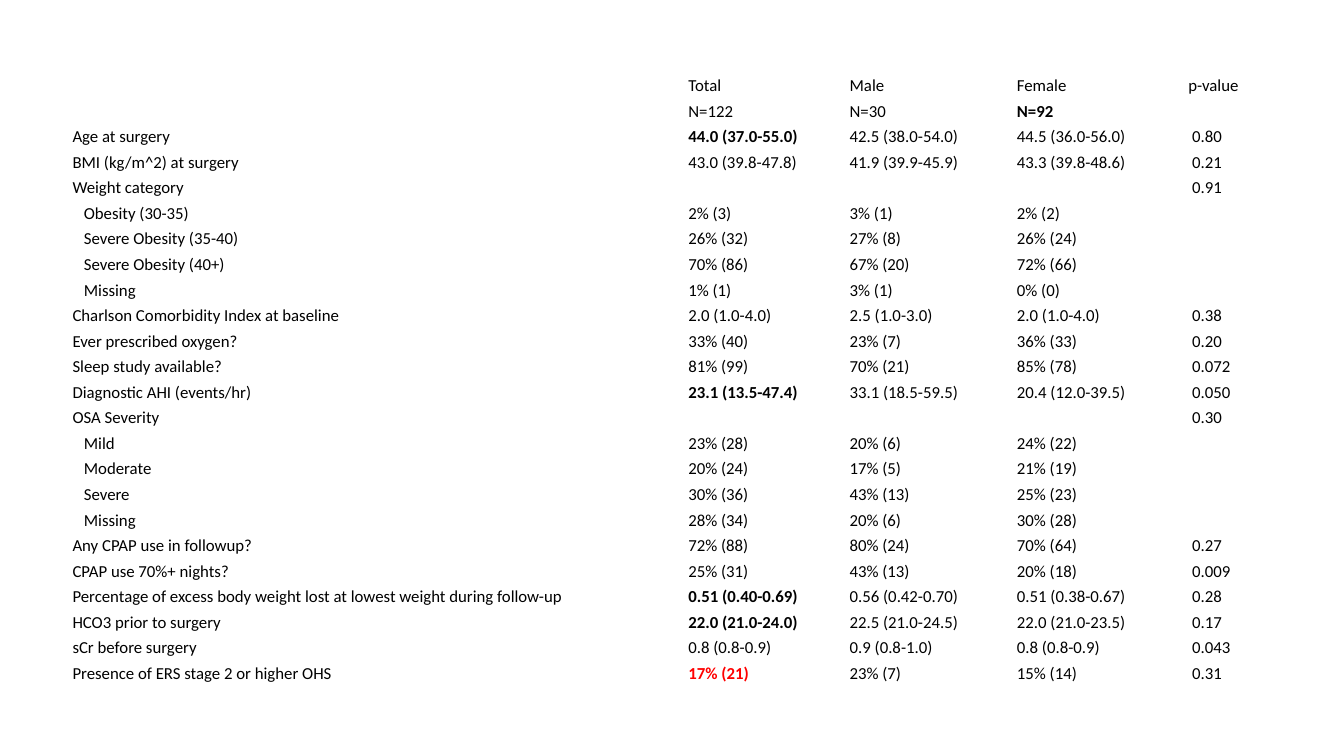
import dataclasses

import lxml.etree
import pptx
import pptx.dml.color
import pptx.enum.text
import pptx.oxml.ns
import pptx.table
import pptx.util

Pt = pptx.util.Pt

COLORS = {"text": "000000", "alert": "FF0000"}
FONT = "Calibri"
FONT_SIZE = 12
LEFT, TOP = 51.12, 50.4
COLUMN_WIDTHS = [439.92, 115.2, 119.52, 122.4, 60.48]
ROW_HEIGHT = 18.27
MARGIN = 0.7
SUBLEVEL_INDENT = 8.1
P_VALUE_INDENT = 2.7
LABEL, TOTAL, MALE, FEMALE, P_VALUE = range(5)


@dataclasses.dataclass
class Row:
    label: str = ""
    total: str = ""
    male: str = ""
    female: str = ""
    p_value: str = ""
    sublevel: bool = False
    bold_column: int | None = None
    bold_color: str = "text"
    p_indent: float = P_VALUE_INDENT

    def texts(self) -> list[str]:
        return [self.label, self.total, self.male, self.female, self.p_value]

    def indent(self, column: int) -> float:
        if column == LABEL and self.sublevel:
            return SUBLEVEL_INDENT
        return self.p_indent if column == P_VALUE else 0


ROWS = [
    Row("", "Total", "Male", "Female", "p-value", p_indent=0),
    Row("", "N=122", "N=30", "N=92", bold_column=FEMALE),
    Row("Age at surgery", "44.0 (37.0-55.0)", "42.5 (38.0-54.0)", "44.5 (36.0-56.0)", "0.80",
        bold_column=TOTAL),
    Row("BMI (kg/m^2) at surgery", "43.0 (39.8-47.8)", "41.9 (39.9-45.9)", "43.3 (39.8-48.6)", "0.21"),
    Row("Weight category", p_value="0.91"),
    Row("Obesity (30-35)", "2% (3)", "3% (1)", "2% (2)", sublevel=True),
    Row("Severe Obesity (35-40)", "26% (32)", "27% (8)", "26% (24)", sublevel=True),
    Row("Severe Obesity (40+)", "70% (86)", "67% (20)", "72% (66)", sublevel=True),
    Row("Missing", "1% (1)", "3% (1)", "0% (0)", sublevel=True),
    Row("Charlson Comorbidity Index at baseline", "2.0 (1.0-4.0)", "2.5 (1.0-3.0)", "2.0 (1.0-4.0)", "0.38"),
    Row("Ever prescribed oxygen?", "33% (40)", "23% (7)", "36% (33)", "0.20"),
    Row("Sleep study available?", "81% (99)", "70% (21)", "85% (78)", "0.072"),
    Row("Diagnostic AHI (events/hr)", "23.1 (13.5-47.4)", "33.1 (18.5-59.5)", "20.4 (12.0-39.5)", "0.050",
        bold_column=TOTAL),
    Row("OSA Severity", p_value="0.30"),
    Row("Mild", "23% (28)", "20% (6)", "24% (22)", sublevel=True),
    Row("Moderate", "20% (24)", "17% (5)", "21% (19)", sublevel=True),
    Row("Severe", "30% (36)", "43% (13)", "25% (23)", sublevel=True),
    Row("Missing", "28% (34)", "20% (6)", "30% (28)", sublevel=True),
    Row("Any CPAP use in followup?", "72% (88)", "80% (24)", "70% (64)", "0.27"),
    Row("CPAP use 70%+ nights?", "25% (31)", "43% (13)", "20% (18)", "0.009"),
    Row("Percentage of excess body weight lost at lowest weight during follow-up",
        "0.51 (0.40-0.69)", "0.56 (0.42-0.70)", "0.51 (0.38-0.67)", "0.28", bold_column=TOTAL),
    Row("HCO3 prior to surgery", "22.0 (21.0-24.0)", "22.5 (21.0-24.5)", "22.0 (21.0-23.5)", "0.17",
        bold_column=TOTAL),
    Row("sCr before surgery", "0.8 (0.8-0.9)", "0.9 (0.8-1.0)", "0.8 (0.8-0.9)", "0.043"),
    Row("Presence of ERS stage 2 or higher OHS", "17% (21)", "23% (7)", "15% (14)", "0.31",
        bold_column=TOTAL, bold_color="alert"),
]


def fill_cell(cell: pptx.table._Cell, text: str, indent: float, bold: bool, color: str) -> None:
    cell.fill.background()
    cell.vertical_anchor = pptx.enum.text.MSO_ANCHOR.BOTTOM
    cell.margin_left = Pt(MARGIN + indent)
    cell.margin_right = cell.margin_top = Pt(MARGIN)
    cell.margin_bottom = Pt(0)
    p = cell.text_frame.paragraphs[0]
    if not text:
        tag = pptx.oxml.ns.qn("a:endParaRPr")
        lxml.etree.SubElement(p._p, tag, sz=str(FONT_SIZE * 100))
        return
    p.text = text
    r = p.runs[0]
    r.font.name = FONT
    r.font.size = Pt(FONT_SIZE)
    r.font.bold = bold
    r.font.color.rgb = pptx.dml.color.RGBColor.from_string(COLORS[color])


def main() -> None:
    prs = pptx.Presentation()
    prs.slide_width, prs.slide_height = Pt(960), Pt(540)
    s = prs.slides.add_slide(prs.slide_layouts[6])
    tbl = s.shapes.add_table(
        len(ROWS), len(COLUMN_WIDTHS), Pt(LEFT), Pt(TOP),
        Pt(sum(COLUMN_WIDTHS)), Pt(ROW_HEIGHT * len(ROWS)),
    ).table
    tbl.first_row = tbl.horz_banding = False
    for column, width in zip(tbl.columns, COLUMN_WIDTHS):
        column.width = Pt(width)
    for i, row in enumerate(ROWS):
        tbl.rows[i].height = Pt(ROW_HEIGHT)
        for j, text in enumerate(row.texts()):
            bold = j == row.bold_column
            color = row.bold_color if bold else "text"
            fill_cell(tbl.cell(i, j), text, row.indent(j), bold, color)
    prs.save("out.pptx")


if __name__ == "__main__":
    main()
